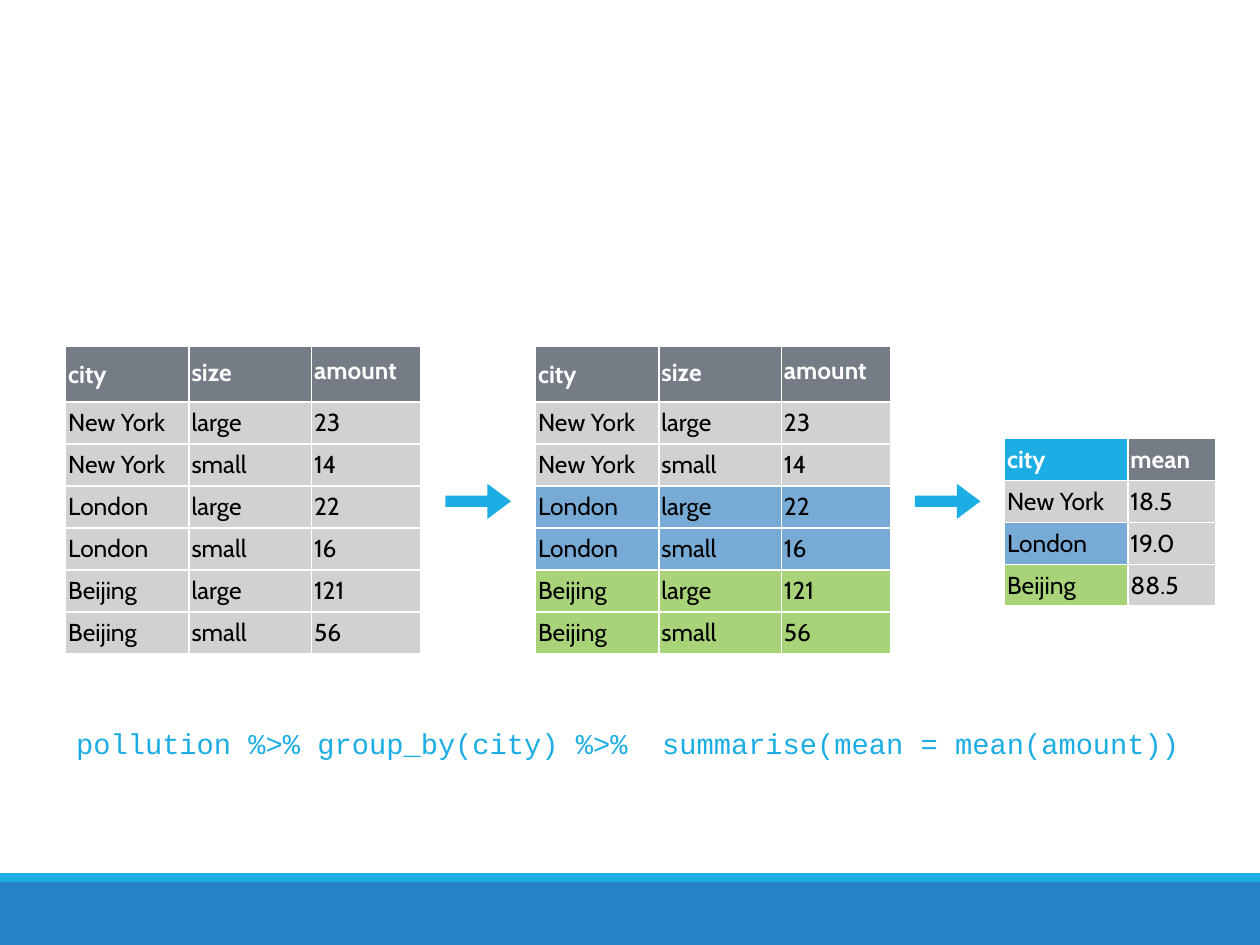
from lxml import etree
from pptx import Presentation
from pptx.dml.color import RGBColor
from pptx.enum.shapes import MSO_SHAPE
from pptx.enum.text import MSO_ANCHOR, PP_ALIGN
from pptx.oxml.ns import qn
from pptx.util import Pt

RECTANGLE, RIGHT_ARROW = MSO_SHAPE.RECTANGLE, MSO_SHAPE.RIGHT_ARROW
MIDDLE, LEFT = MSO_ANCHOR.MIDDLE, PP_ALIGN.LEFT

WHITE = RGBColor(0xFF, 0xFF, 0xFF)
BLACK = RGBColor(0, 0, 0)
CYAN = RGBColor(0x1C, 0xAD, 0xE4)
FOOTER_BLUE = RGBColor(0x26, 0x83, 0xC6)
HEADER_GRAY = RGBColor(0x76, 0x7C, 0x85)
GRAY = RGBColor(0xD0, 0xD1, 0xD2)
BLUE = RGBColor(0x78, 0xAA, 0xD6)
GREEN = RGBColor(0xA8, 0xD3, 0x79)

CITY_COLORS = {"New York": GRAY, "London": BLUE, "Beijing": GREEN}
POLLUTION = [
    ("city", "size", "amount"),
    ("New York", "large", "23"),
    ("New York", "small", "14"),
    ("London", "large", "22"),
    ("London", "small", "16"),
    ("Beijing", "large", "121"),
    ("Beijing", "small", "56"),
]
MEANS = [
    ("city", "mean"),
    ("New York", "18.5"),
    ("London", "19.0"),
    ("Beijing", "88.5"),
]
PIPELINE = "pollution %>% group_by(city) %>%  summarise(mean = mean(amount))"

POLLUTION_COLS, MEANS_COLS = (70.5, 70, 62.5), (70.5, 50.5)
HEADER_SPACING = {"size": 0.8, "amount": 0.6}
POLLUTION_HEADER, ROW_HEIGHT = 31.7, 24
POLLUTION_TOP, MEANS_TOP = 198, 250.5
# rows, left, top, column widths, header height, number of columns in city colours
TABLES = [
    (POLLUTION, 37.5, POLLUTION_TOP, POLLUTION_COLS, POLLUTION_HEADER, 0),
    (POLLUTION, 306, POLLUTION_TOP, POLLUTION_COLS, POLLUTION_HEADER, 3),
    (MEANS, 574, MEANS_TOP, MEANS_COLS, ROW_HEIGHT, 1),
]
ARROW_TOP, ARROW_WIDTH, ARROW_HEIGHT = 276.5, 37.5, 20


def add_filled(slide, kind, left, top, width, height, color):
    shape = slide.shapes.add_shape(kind, Pt(left), Pt(top), Pt(width), Pt(height))
    shape.shadow.inherit = False
    shape.fill.solid()
    shape.fill.fore_color.rgb = color
    shape.line.fill.background()
    return shape


def add_borders(cell):
    properties = cell._tc.get_or_add_tcPr()
    for side in ("a:lnL", "a:lnR", "a:lnT", "a:lnB"):
        border = etree.SubElement(properties, qn(side), w=str(Pt(1)))
        fill = etree.SubElement(border, qn("a:solidFill"))
        etree.SubElement(fill, qn("a:srgbClr"), val=str(WHITE))


def fill_cell(cell, text, color, is_header):
    add_borders(cell)
    cell.fill.solid()
    cell.fill.fore_color.rgb = color
    cell.margin_left = cell.margin_right = Pt(1.5)
    cell.margin_top = cell.margin_bottom = Pt(1.5)
    cell.vertical_anchor = MIDDLE
    paragraph = cell.text_frame.paragraphs[0]
    paragraph.text = text
    paragraph.alignment = LEFT
    if text in HEADER_SPACING:
        paragraph.line_spacing = HEADER_SPACING[text]
    font = paragraph.runs[0].font
    font.name, font.size, font.bold = "Cabin", Pt(14), is_header
    font.color.rgb = WHITE if is_header else BLACK


def add_data_table(slide, rows, left, top, widths, header_height, colored):
    heights = [header_height] + [ROW_HEIGHT] * (len(rows) - 1)
    table = slide.shapes.add_table(
        len(rows), len(widths), Pt(left), Pt(top), Pt(sum(widths)), Pt(sum(heights))
    ).table
    for column, width in zip(table.columns, widths):
        column.width = Pt(width)
    for r, (row, height) in enumerate(zip(rows, heights)):
        table.rows[r].height = Pt(height)
        for c, text in enumerate(row):
            if r == 0:
                color = CYAN if rows is MEANS and c == 0 else HEADER_GRAY
            else:
                color = CITY_COLORS[row[0]] if c < colored else GRAY
            fill_cell(table.cell(r, c), text, color, r == 0)


def add_pipeline(slide):
    box = slide.shapes.add_textbox(Pt(41), Pt(412.5), Pt(638), Pt(33))
    frame = box.text_frame
    frame.word_wrap = True
    frame.margin_left = frame.margin_right = Pt(2.5)
    frame.margin_top = frame.margin_bottom = Pt(2.5)
    paragraph = frame.paragraphs[0]
    paragraph.text = PIPELINE
    paragraph.space_before = Pt(3.8)
    font = paragraph.runs[0].font
    font.name, font.size = "Courier New", Pt(16.4)
    font.color.rgb = CYAN


def main():
    presentation = Presentation()
    presentation.slide_width, presentation.slide_height = Pt(720), Pt(540)
    slide = presentation.slides.add_slide(presentation.slide_layouts[6])

    add_filled(slide, RECTANGLE, 0, 504, 720, 36, FOOTER_BLUE)
    add_filled(slide, RECTANGLE, 0, 499, 720, 5, CYAN)
    for table in TABLES:
        add_data_table(slide, *table)

    # Each arrow is centred in the gap between two neighbouring tables.
    for before, after in zip(TABLES, TABLES[1:]):
        gap_start, gap_end = before[1] + sum(before[3]), after[1]
        left = (gap_start + gap_end - ARROW_WIDTH) / 2
        arrow = add_filled(
            slide, RIGHT_ARROW, left, ARROW_TOP, ARROW_WIDTH, ARROW_HEIGHT, CYAN
        )
        arrow.adjustments[0], arrow.adjustments[1] = 0.32, 0.67

    add_pipeline(slide)
    presentation.save("out.pptx")


if __name__ == "__main__":
    main()
